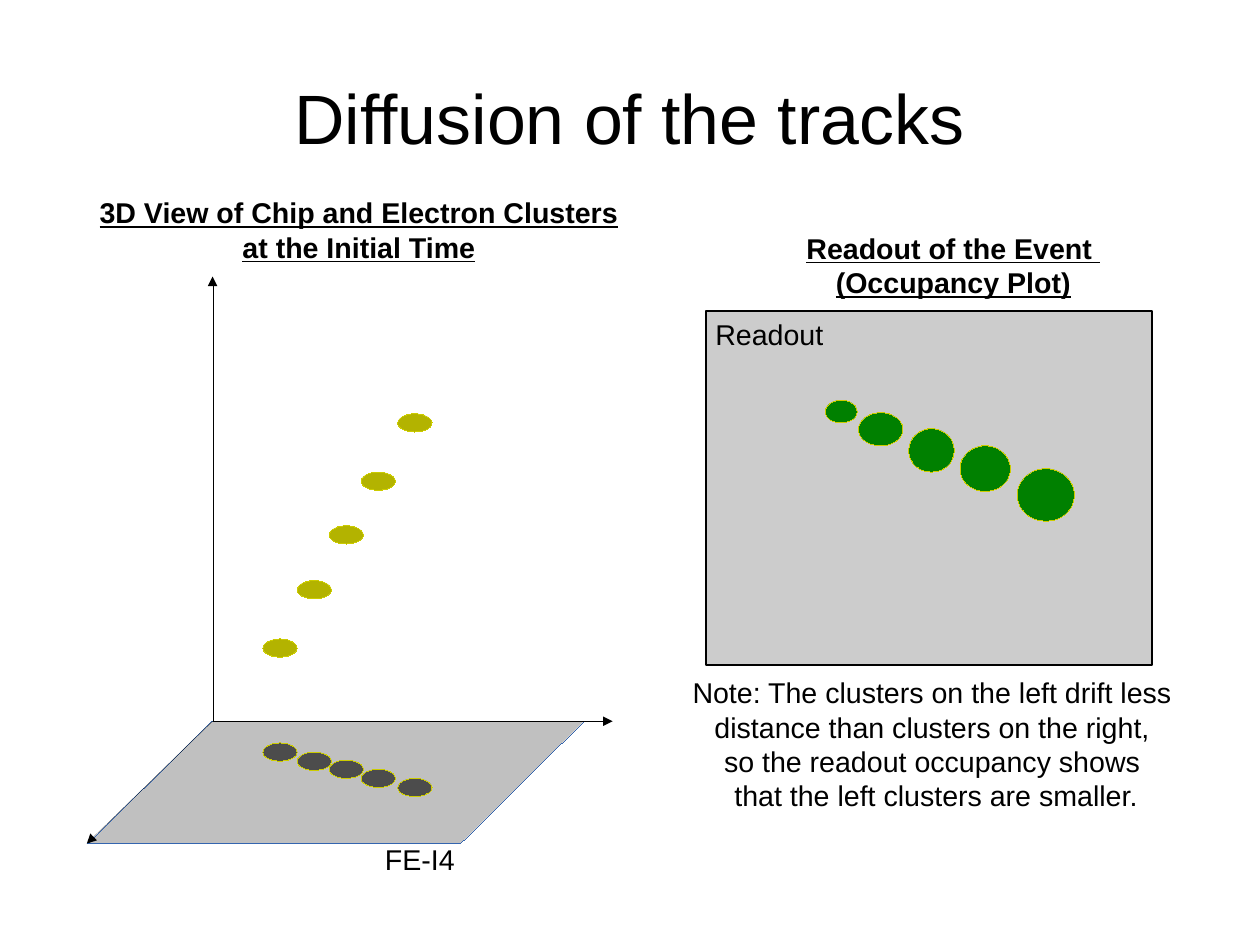
from lxml import etree
from pptx import Presentation
from pptx import util as u
from pptx.dml.color import RGBColor
from pptx.enum import shapes, text
from pptx.oxml.ns import qn

BLACK = RGBColor(0x00, 0x00, 0x00)
OLIVE = RGBColor(0xB3, 0xB3, 0x00)
YELLOW = RGBColor(0xCC, 0xCC, 0x00)
DARK_GRAY = RGBColor(0x4C, 0x4C, 0x4C)
CHIP_GRAY = RGBColor(0xC0, 0xC0, 0xC0)
CHIP_EDGE = RGBColor(0x34, 0x65, 0xAF)
READOUT_GRAY = RGBColor(0xCC, 0xCC, 0xCC)
GREEN = RGBColor(0x00, 0x80, 0x00)

CM_PER_INCH = 2.54
CLUSTER_SIZE = (0.3, 0.16)
# left edge, top in the drift volume, top of the projection on the chip
CLUSTERS = [
    (2.3, 5.59, 6.5),
    (2.6, 5.08, 6.58),
    (2.88, 4.6, 6.65),
    (3.16, 4.13, 6.73),
    (3.48, 3.62, 6.81),
]
# left, top, width, height, rotation
READOUT_HITS = [
    (7.22, 3.5, 0.28, 0.2, 0),
    (7.51, 3.61, 0.39, 0.29, 0),
    (7.96, 3.74, 0.38, 0.4, 268.2),
    (8.4, 3.9, 0.44, 0.4, 0),
    (8.9, 4.1, 0.5, 0.46, 0),
]
AXIS_ORIGIN = (1.86, 6.31)
AXIS_ENDS = [(1.86, 2.42), (5.36, 6.31), (0.76, 7.38)]


class SlideBuilder:
    font_name = "Arial"
    body_size = 18

    def __init__(self, slide):
        self.slide = slide

    def outline(self, shape, color, width):
        """Set the line and drop the theme style, so that width 0 is a hairline."""
        shape.line.color.rgb = color
        shape.line.width = u.Pt(width)
        shape._element.remove(shape._element.find(qn("p:style")))

    def shape(self, kind, box, fill, line, line_width=0, rotation=0):
        shape = self.slide.shapes.add_shape(kind, *map(u.Inches, box))
        shape.shadow.inherit = False
        shape.fill.solid()
        shape.fill.fore_color.rgb = fill
        shape.rotation = rotation
        self.outline(shape, line, line_width)
        return shape

    def ellipse(self, box, fill, rotation=0):
        return self.shape(shapes.MSO_SHAPE.OVAL, box, fill, YELLOW, rotation=rotation)

    def arrow(self, start, end):
        arrow = self.slide.shapes.add_connector(
            shapes.MSO_CONNECTOR.STRAIGHT, *map(u.Inches, start + end))
        self.outline(arrow, BLACK, 0)
        line = arrow._element.spPr.find(qn("a:ln"))
        etree.SubElement(line, qn("a:tailEnd"), type="triangle")
        etree.SubElement(arrow._element.spPr, qn("a:effectLst"))

    def label(self, box, lines, size=body_size, centered=False, heading=False,
              middle=False, wrap=False, margins=(0.1, 0.05)):
        frame = self.slide.shapes.add_textbox(*map(u.Inches, box)).text_frame
        frame.text = "\n".join(lines)
        frame.word_wrap = wrap
        frame.auto_size = text.MSO_AUTO_SIZE.NONE
        frame.vertical_anchor = text.MSO_ANCHOR.MIDDLE if middle else text.MSO_ANCHOR.TOP
        frame.margin_left = frame.margin_right = u.Inches(margins[0])
        frame.margin_top = frame.margin_bottom = u.Inches(margins[1])
        for paragraph in frame.paragraphs:
            paragraph.alignment = text.PP_ALIGN.CENTER if centered else text.PP_ALIGN.LEFT
            for run in paragraph.runs:
                run.font.name = self.font_name
                run.font.size = u.Pt(size)
                run.font.color.rgb = BLACK
                run.font.bold = run.font.underline = heading


def draw_chip_view(builder):
    chip = builder.shape(shapes.MSO_SHAPE.PARALLELOGRAM, (0.77, 6.31, 4.34, 1.07),
                         CHIP_GRAY, CHIP_EDGE)
    chip.adjustments[0] = 1.01
    for end in AXIS_ENDS:
        builder.arrow(AXIS_ORIGIN, end)
    for left, cluster_top, projection_top in CLUSTERS:
        builder.ellipse((left, cluster_top, *CLUSTER_SIZE), OLIVE)
        builder.ellipse((left, projection_top, *CLUSTER_SIZE), DARK_GRAY)
    builder.label((0.77, 1.68, 4.74, 0.66),
                  ["3D View of Chip and Electron Clusters", "at the Initial Time"],
                  centered=True, heading=True, middle=True)
    builder.label((3.27, 7.32, 0.93, 0.38), ["FE-I4"])


def draw_readout(builder):
    builder.shape(shapes.MSO_SHAPE.RECTANGLE, (6.18, 2.72, 3.9, 3.1),
                  READOUT_GRAY, BLACK, line_width=1.45)
    for *box, rotation in READOUT_HITS:
        builder.ellipse(box, GREEN, rotation)
    builder.label((6.75, 1.97, 3.18, 0.66),
                  ["Readout of the Event ", "(Occupancy Plot)"],
                  centered=True, heading=True)
    builder.label((6.16, 2.72, 1.16, 0.38), ["Readout"])
    builder.label((5.96, 5.86, 4.46, 1.22),
                  ["Note: The clusters on the left drift less ",
                   "distance than clusters on the right, ",
                   "so the readout occupancy shows ",
                   "that the left clusters are smaller."],
                  centered=True)


def main():
    presentation = Presentation()
    presentation.slide_width = u.Inches(28 / CM_PER_INCH)
    presentation.slide_height = u.Inches(21 / CM_PER_INCH)
    slide = presentation.slides.add_slide(presentation.slide_layouts[6])
    builder = SlideBuilder(slide)
    builder.label((0.55, 0.33, 9.92, 1.38), ["Diffusion of the tracks"], size=44,
                  centered=True, middle=True, wrap=True, margins=(0, 0))
    draw_chip_view(builder)
    draw_readout(builder)
    presentation.save("out.pptx")


if __name__ == "__main__":
    main()
